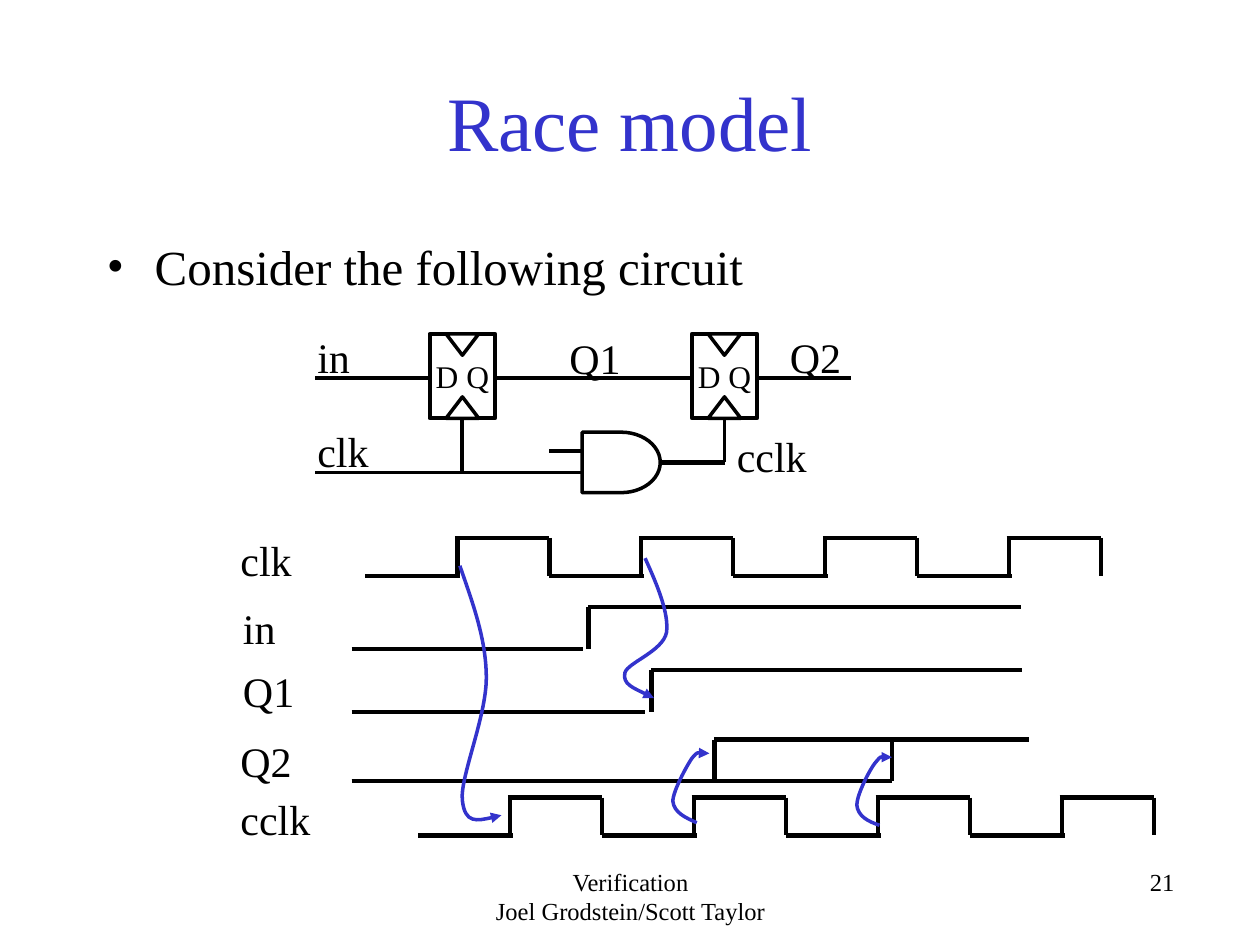
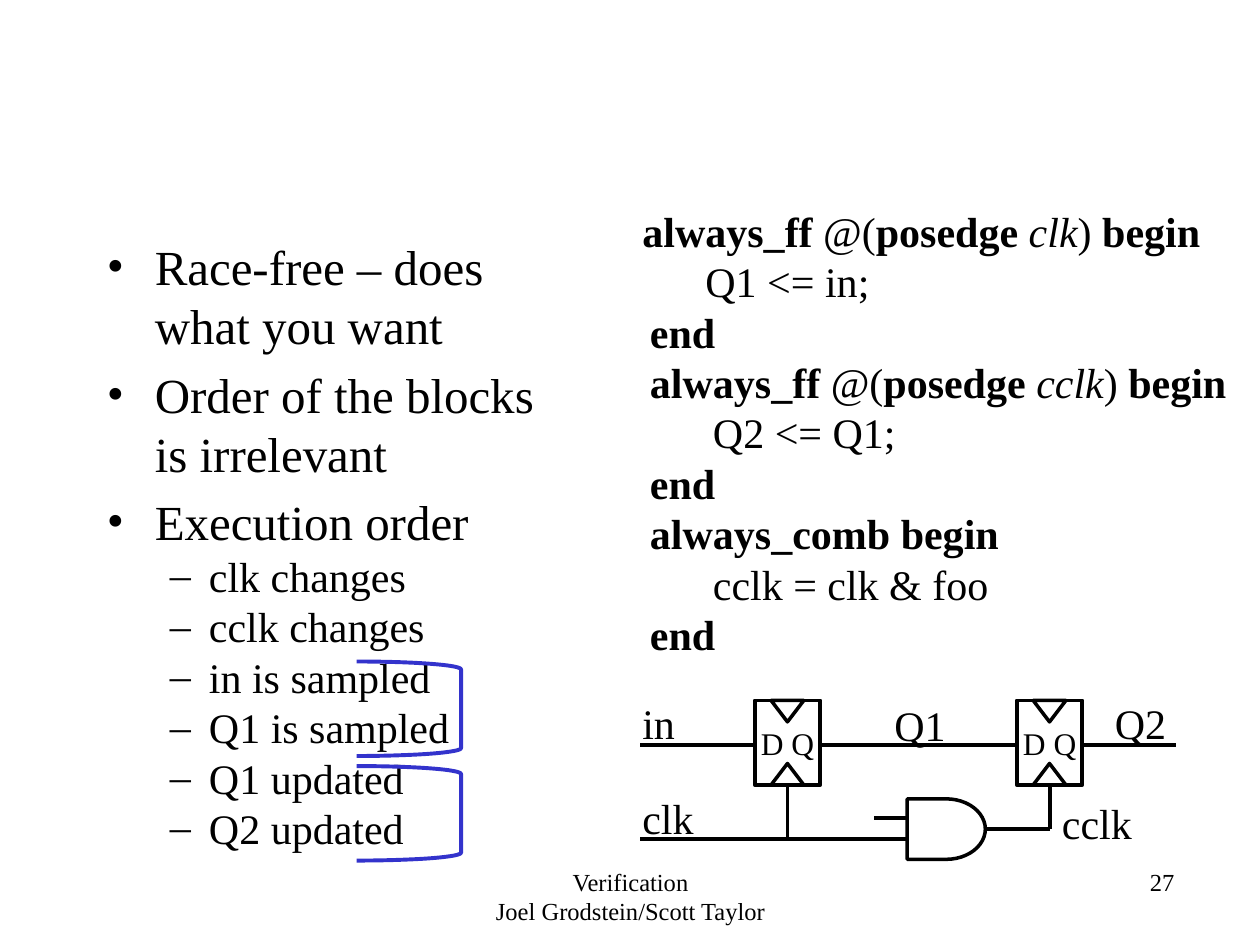
from pptx import Presentation
from pptx import util as u
from pptx.dml.color import RGBColor
from pptx.enum import shapes, text
from pptx.oxml.ns import qn
from lxml import etree

FONT = "Times New Roman"
BLACK, WHITE, BLUE = "000000", "FFFFFF", "3333CC"
LEFT, CENTER, RIGHT = text.PP_ALIGN.LEFT, text.PP_ALIGN.CENTER, text.PP_ALIGN.RIGHT
rgb = RGBColor.from_string


def add_text(s, box, lines, size=24, color=BLACK, align=LEFT, fit=False):
    """Add a text box; each line is a list of (text, style) runs, style in '', 'b', 'i'."""
    sp = s.shapes.add_textbox(*map(u.Inches, box))
    tf = sp.text_frame
    tf.word_wrap = True
    tf.auto_size = text.MSO_AUTO_SIZE.SHAPE_TO_FIT_TEXT if fit else text.MSO_AUTO_SIZE.NONE
    for i, runs in enumerate(lines):
        p = tf.paragraphs[0] if i == 0 else tf.add_paragraph()
        p.alignment = align
        p.font.name, p.font.size = FONT, u.Pt(size)
        p.font.color.rgb = rgb(color)
        for words, style in runs:
            r = p.add_run()
            r.text = words
            if style == "b":
                r.font.bold = True
            elif style == "i":
                r.font.italic = True
    return tf


def add_line(s, x1, y1, x2, y2, width=2.5):
    c = s.shapes.add_connector(shapes.MSO_CONNECTOR.STRAIGHT,
                               *map(u.Inches, (x1, y1, x2, y2)))
    c.line.color.rgb = rgb(BLACK)
    c.line.width = u.Pt(width)
    etree.SubElement(c._element.spPr, qn("a:effectLst"))
    return c


prs = Presentation()
prs.slide_width, prs.slide_height = u.Inches(10), u.Inches(7.5)
race = prs.slides.add_slide(prs.slide_layouts[6])
fixed = prs.slides.add_slide(prs.slide_layouts[6])

# Page numbers and footers
for s, number in ((race, "21"), (fixed, "27")):
    add_text(s, (6.25, 6.83, 3.17, 0.5), [[(number, "")]], 14, align=RIGHT)
    add_text(s, (3.42, 6.83, 3.17, 0.5),
             [[("Verification", "")], [("Joel Grodstein/Scott Taylor", "")]], 14, align=CENTER)

# Title
tf = add_text(race, (0.75, 0.33, 8.5, 1.25), [[("Race model", "")]], 44, BLUE, CENTER)
tf.vertical_anchor = text.MSO_ANCHOR.MIDDLE

# Bulleted bodies: main points, then sub-points
bodies = (
    (race, (0.75, 1.83, 8.5, 0.67), ["Consider the following circuit"], []),
    (fixed, (0.75, 1.83, 3.59, 5),
     ["Race-free – does what you want", "Order of the blocks is irrelevant", "Execution order"],
     ["clk changes", "cclk changes", "in is sampled", "Q1 is sampled",
      "Q1 updated", "Q2 updated"]),
)
for s, box, points, subpoints in bodies:
    tf = add_text(s, box, [[(words, "")] for words in points + subpoints], 28)
    for i, p in enumerate(tf.paragraphs):
        if i < len(points):
            mark, margin, hang = "•", 0.38, 0.38
            p.space_before = u.Pt(5.6)
        else:
            mark, margin, hang = "–", 0.81, 0.31
            p.level = 1
            p.font.size = u.Pt(24)
        pPr = p._p.get_or_add_pPr()
        pPr.set("marL", str(u.Inches(margin)))
        pPr.set("indent", str(-u.Inches(hang)))
        run_style = pPr.find(qn("a:defRPr"))
        run_style.addprevious(etree.Element(qn("a:buFont"), typeface=FONT))
        run_style.addprevious(etree.Element(qn("a:buChar"), char=mark))

# Circuit, the same on both slides at offset dx, dy
for s, dx, dy in ((race, 0, 0), (fixed, 2.58, 2.91)):
    add_line(s, 2.5 + dx, 3 + dy, 6.75 + dx, 3 + dy, 2.25)
    for label, x, y, w in (("in", 2.42, 2.58, 0.67), ("Q1", 4.42, 2.59, 0.67),
                           ("Q2", 6.17, 2.58, 0.67), ("clk", 2.42, 3.33, 0.67),
                           ("cclk", 5.75, 3.37, 0.83)):
        add_text(s, (x + dx, y + dy, w, 0.5), [[(label, "")]], fit=True)

    # Flip-flops with clock notches, and the gate
    rect, notch = shapes.MSO_SHAPE.RECTANGLE, shapes.MSO_SHAPE.ISOSCELES_TRIANGLE
    delay = shapes.MSO_SHAPE.FLOWCHART_DELAY
    blocks = []
    for kind, x, y, w, h, width in (
            (rect, 3.41, 2.65, 0.52, 0.67, 2.25), (notch, 3.54, 3.15, 0.26, 0.17, 2),
            (notch, 3.54, 2.65, 0.26, 0.17, 2),
            (rect, 5.49, 2.65, 0.52, 0.67, 2.25), (notch, 5.62, 3.15, 0.26, 0.17, 2),
            (notch, 5.62, 2.65, 0.26, 0.17, 2),
            (delay, 4.62, 3.43, 0.62, 0.48, 2)):
        sp = s.shapes.add_shape(kind, *map(u.Inches, (x + dx, y + dy, w, h)))
        sp.shadow.inherit = False
        sp.fill.solid()
        sp.fill.fore_color.rgb = rgb(WHITE)
        sp.line.color.rgb = rgb(BLACK)
        sp.line.width = u.Pt(width)
        if kind == notch:
            if y == 2.65:
                sp._element.spPr.find(qn("a:xfrm")).set("flipV", "1")
            continue
        blocks.append(sp)
        if kind == rect:
            tf = sp.text_frame
            tf.margin_left = tf.margin_right = tf.margin_top = tf.margin_bottom = 0
            tf.vertical_anchor = text.MSO_ANCHOR.MIDDLE
            p = tf.paragraphs[0]
            p.text, p.alignment = "D Q", CENTER
            p.font.name, p.font.size = FONT, u.Pt(18)
            p.font.color.rgb = rgb(BLACK)
    flop1, flop2, gate = blocks

    # Clock wiring
    add_line(s, 2.5 + dx, 3.75 + dy, 4.62 + dx, 3.75 + dy, 2.25)
    add_line(s, 4.36 + dx, 3.58 + dy, 4.62 + dx, 3.58 + dy)
    add_line(s, 3.67 + dx, 3.32 + dy, 3.67 + dx, 3.75 + dy, 2.25).begin_connect(flop1, 2)
    add_line(s, 5.75 + dx, 3.32 + dy, 5.75 + dx, 3.67 + dy, 2.25).begin_connect(flop2, 2)
    add_line(s, 5.24 + dx, 3.67 + dy, 5.75 + dx, 3.67 + dy).begin_connect(gate, 3)

# Waveform labels
for label, x, y, w in (("clk", 1.81, 4.19, 0.65), ("in", 1.83, 4.73, 0.65),
                       ("Q1", 1.83, 5.23, 0.67), ("Q2", 1.81, 5.79, 0.67),
                       ("cclk", 1.81, 6.25, 0.88)):
    add_text(race, (x, y, w, 0.5), [[(label, "")]], fit=True)

# Clocks: four cycles of low, rise, high, fall
HALF, LAP = 0.73, 0.02
for first_rise, high, low in ((3.63, 4.27, 4.57), (4.05, 6.33, 6.63)):
    for cycle in range(4):
        rise = first_rise + cycle * 2 * HALF
        fall = rise + HALF
        add_line(race, rise - HALF, low, rise + LAP, low)
        add_line(race, rise, high, rise, low)
        add_line(race, rise - LAP, high, fall, high)
        add_line(race, fall, high, fall, low)

# Data signals: low, then a step up (Q2 has two possible steps)
for low_end, rise, end, high, low in ((4.63, 4.67, 8.1, 4.82, 5.15),
                                      (5.12, 5.17, 8.11, 5.32, 5.65),
                                      (5.67, 5.67, 8.17, 5.87, 6.2),
                                      (7.08, 7.08, 8.17, 5.87, 6.2)):
    add_line(race, 2.79, low, low_end, low)
    add_line(race, rise, high, rise, low)
    add_line(race, rise, high, end, high)

# Cause-and-effect arrows in hundredths of an inch:
# a start point, then three points per Bezier segment
arrows = (
    [(512, 443), (522, 465), (531, 487), (529, 502), (526, 517),
     (498, 526), (496, 534), (494, 543), (507, 548), (519, 554)],
    [(365, 449), (375, 478), (386, 507), (386, 538), (386, 569),
     (365, 617), (367, 635), (369, 654), (383, 651), (398, 647)],
    [(553, 653), (544, 649), (535, 645), (534, 636), (534, 628),
     (545, 608), (549, 602), (554, 596), (558, 597), (563, 598)],
    [(698, 655), (689, 652), (681, 648), (680, 639), (680, 631),
     (690, 611), (695, 605), (700, 599), (704, 600), (708, 601)],
)
for start, *points in arrows:
    fb = race.shapes.build_freeform(*start, scale=u.Inches(0.01))
    fb.add_line_segments(points, close=False)
    sp = fb.convert_to_shape()
    sp.shadow.inherit = False
    sp.fill.background()
    sp.line.color.rgb = rgb(BLUE)
    sp.line.width = u.Pt(2)
    etree.SubElement(sp.line._get_or_add_ln(), qn("a:tailEnd"), type="triangle")
    # Turn each three straight segments into one curve
    steps = list(sp._element.iter(qn("a:lnTo")))
    for i in range(0, len(steps), 3):
        curve = etree.Element(qn("a:cubicBezTo"))
        steps[i].addprevious(curve)
        for step in steps[i:i + 3]:
            curve.append(step[0])
            step.getparent().remove(step)

# Code listing: left margin and runs of each line
end = (0.06, [("end", "b")])
header = [("always_ff ", "b"), ("@(", ""), ("posedge ", "b")]
closing = [(")", ""), (" begin", "b")]
code = [
    (0, header + [("clk", "i")] + closing), (0.5, [("Q1 <= in;", "")]), end,
    (0.06, header + [("cclk", "i")] + closing), (0.56, [("Q2 <= Q1;", "")]), end,
    (0.06, [("always_comb begin", "b")]), (0.56, [("cclk = clk & foo", "")]), end,
]
tf = add_text(fixed, (5, 1.58, 4.92, 4.14), [runs for margin, runs in code], fit=True)
for p, (margin, runs) in zip(tf.paragraphs, code):
    p.level = 1 if margin >= 0.5 else 0
    pPr = p._p.get_or_add_pPr()
    pPr.set("marL", str(u.Inches(margin)))
    pPr.set("indent", "0")

# Brackets pairing the sampling and the update steps
for y in (5.25, 6.08):
    sp = fixed.shapes.add_shape(shapes.MSO_SHAPE.RIGHT_BRACKET,
                                *map(u.Inches, (2.83, y, 0.83, 0.75)))
    sp.shadow.inherit = False
    sp.fill.background()
    sp.line.color.rgb = rgb(BLUE)
    sp.line.width = u.Pt(2.25)

prs.save("out.pptx")
